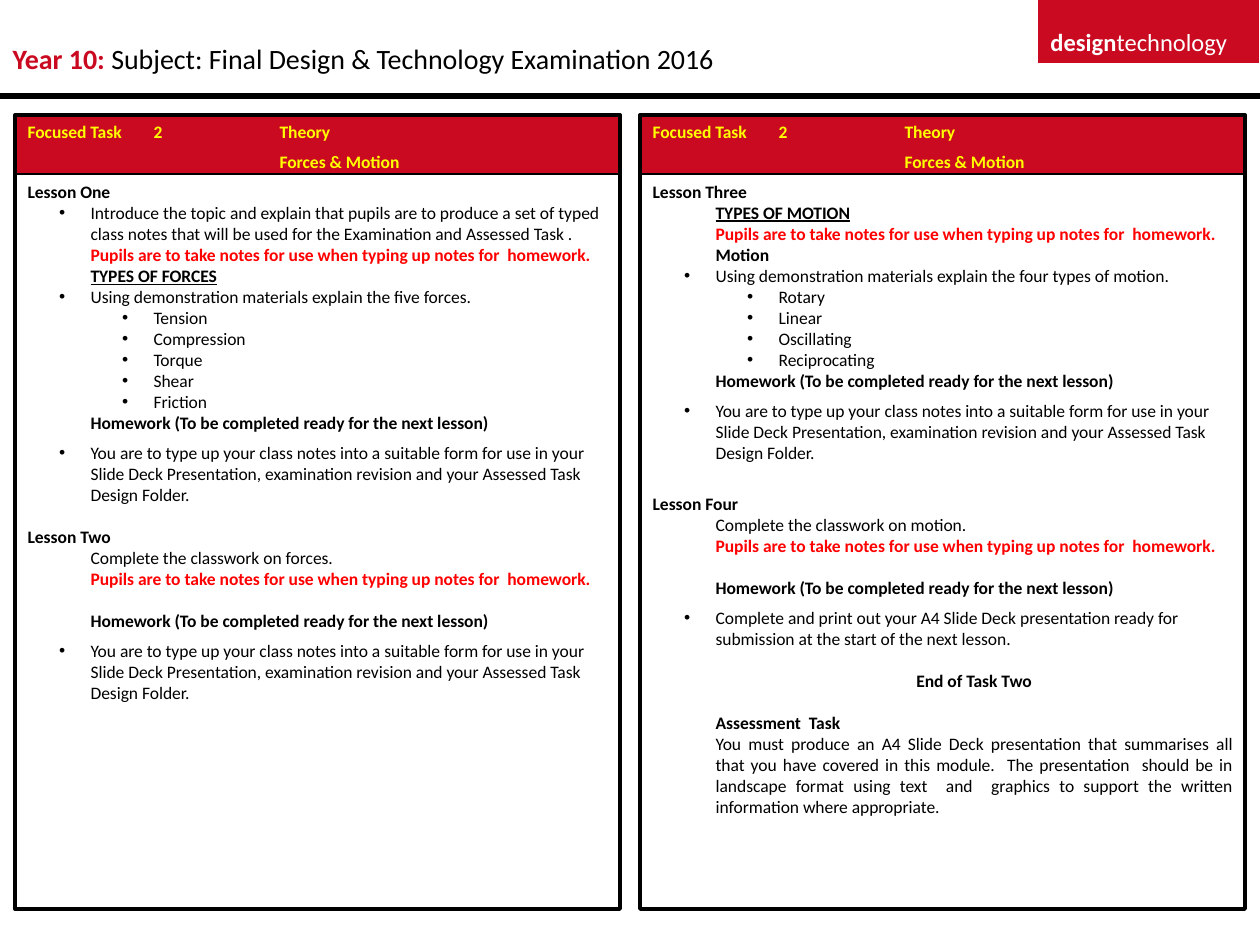
import pptx
import pptx.util
import pptx.dml.color
import pptx.enum.shapes
import pptx.enum.text
import pptx.oxml
import pptx.oxml.ns
import lxml.etree

# Content: (style, text, space before in points)
TITLE = [("Year 10:", "CA0A20", True),
         (" Subject: Final Design & Technology Examination 2016", "000000", False)]
BADGE = [("design", "FFFFFF", True), ("technology", "FFFFFF", False)]

NOTES = ("alert", "Pupils are to take notes for use when typing up notes for  homework.", 0)
HOMEWORK = "Homework (To be completed ready for the next lesson)"
TYPE_UP = ("bullet", "You are to type up your class notes into a suitable form for use in your "
           "Slide Deck Presentation, examination revision and your Assessed Task Design Folder.", 5)
HEADER = [("header", "Focused Task\t2\tTheory", 0), ("header", "\t\tForces & Motion", 5)]

FORCES = HEADER + [
    ("lesson", "Lesson One", 5),
    ("bullet", "Introduce the topic and explain that pupils are to produce a set of typed class notes "
     "that will be used for the Examination and Assessed Task .", 0),
    NOTES,
    ("topic", "TYPES OF FORCES", 0),
    ("bullet", "Using demonstration materials explain the five forces.", 0),
    *[("item", force, 0) for force in ("Tension", "Compression", "Torque", "Shear", "Friction")],
    ("strong", HOMEWORK, 0),
    TYPE_UP,
    ("lesson", "Lesson Two", 12),
    ("plain", "Complete the classwork on forces.", 0),
    NOTES,
    ("strong", HOMEWORK, 12),
    TYPE_UP,
]
MOTION = HEADER + [
    ("lesson", "Lesson Three", 5),
    ("topic", "TYPES OF MOTION", 0),
    NOTES,
    ("strong", "Motion", 0),
    ("bullet", "Using demonstration materials explain the four types of motion.", 0),
    *[("item", motion, 0) for motion in ("Rotary", "Linear", "Oscillating", "Reciprocating")],
    ("strong", HOMEWORK, 0),
    TYPE_UP,
    ("lesson", "Lesson Four", 17),
    ("plain", "Complete the classwork on motion.", 0),
    NOTES,
    ("strong", HOMEWORK, 12),
    ("bullet", "Complete and print out your A4 Slide Deck presentation ready for submission "
     "at the start of the next lesson.", 5),
    ("centred", "End of Task Two", 12),
    ("strong", "Assessment  Task", 12),
    ("justified", "You must produce an A4 Slide Deck presentation that summarises all that you have "
     "covered in this module.  The presentation  should be in landscape format using text  and  "
     "graphics to support the written information where appropriate.", 0),
]

# Style: colour, bold, underline, level, bulleted, alignment
ALIGN = pptx.enum.text.PP_ALIGN
STYLES = {
    "header": ("FFFF00", True, False, 0, False, ALIGN.LEFT),
    "lesson": ("000000", True, False, 0, False, ALIGN.LEFT),
    "topic": ("000000", True, True, 1, False, ALIGN.LEFT),
    "alert": ("FF0000", True, False, 1, False, ALIGN.LEFT),
    "strong": ("000000", True, False, 1, False, ALIGN.LEFT),
    "plain": ("000000", False, False, 1, False, ALIGN.LEFT),
    "bullet": ("000000", False, False, 1, True, ALIGN.LEFT),
    "item": ("000000", False, False, 2, True, ALIGN.LEFT),
    "centred": ("000000", True, False, 1, False, ALIGN.CENTER),
    "justified": ("000000", False, False, 1, False, ALIGN.JUSTIFY),
}

# Geometry in pixels
INCH = 126
SCALE = 914400 / INCH
PANEL_LEFT, PANEL_TOP, PANEL_WIDTH, PANEL_HEIGHT = 15, 115, 605, 794
PANEL_STEP, BAND_HEIGHT = 625, 59


def px(length):
    return pptx.util.Emu(round(length * SCALE))


def colour(value):
    return pptx.dml.color.RGBColor.from_string(value)


def place(shape, left, top, width, height):
    shape.left, shape.top, shape.width, shape.height = map(px, (left, top, width, height))


def format_run(run, size, value, bold, underline=False):
    font = run.font
    font.name, font.size = "Calibri", pptx.util.Pt(size)
    font.bold, font.underline = bold, underline
    font.color.rgb = colour(value)


def set_frame(frame, wrap):
    frame.word_wrap = wrap
    frame.auto_size = pptx.enum.text.MSO_AUTO_SIZE.NONE
    frame.vertical_anchor = pptx.enum.text.MSO_ANCHOR.TOP


def write_line(shape, runs, size, wrap):
    set_frame(shape.text_frame, wrap)
    paragraph = shape.text_frame.paragraphs[0]
    paragraph.alignment = ALIGN.LEFT
    for text, value, bold in runs:
        run = paragraph.add_run()
        run.text = text
        format_run(run, size, value, bold)


def add_block(left, top, width, height, line=None):
    block = slide.shapes.add_shape(pptx.enum.shapes.MSO_SHAPE.RECTANGLE,
                                   *map(px, (left, top, width, height)))
    block.shadow.inherit = False
    block.fill.solid()
    block.fill.fore_color.rgb = colour("CA0A20")
    if line:
        block.line.color.rgb = colour("000000")
        block.line.width = pptx.util.Pt(line)
    else:
        block.line.fill.background()
    return block


def add_child(parent, tag, **attributes):
    return lxml.etree.SubElement(parent, pptx.oxml.ns.qn(tag), attributes)


def write_panel(panel, content):
    frame = panel.text_frame
    set_frame(frame, True)
    frame.text = "\n".join(text for _, text, _ in content)
    for paragraph, (style, _, gap) in zip(frame.paragraphs, content):
        value, bold, underline, level, bulleted, alignment = STYLES[style]
        paragraph.level, paragraph.alignment = level, alignment
        paragraph.space_before = pptx.util.Pt(gap)
        props = paragraph._p.get_or_add_pPr()
        props.set("marL", str(px(level * INCH / 2)))
        props.set("indent", str(px(-INCH / 4 if bulleted else 0)))
        props.set("defTabSz", str(px(INCH)))
        if bulleted:
            add_child(props, "a:buFont", typeface="Arial")
            add_child(props, "a:buChar", char="•")
        else:
            add_child(props, "a:buNone")
        for run in paragraph.runs:
            format_run(run, 10, value, bold, underline)


# Slide
deck = pptx.Presentation()
deck.slide_width, deck.slide_height = px(10 * INCH), px(7.5 * INCH)
slide = deck.slides.add_slide(deck.slide_layouts[3])
title, *panels = slide.placeholders

# Title and subject badge
place(title, 0, 35, 1027, 47)
write_line(title, TITLE, 16, True)
add_block(1038, 0, 221, 63)
badge = slide.shapes.add_textbox(*map(px, (1038, 21, 222, 42)))
write_line(badge, BADGE, 14, False)

# Rule under the title
rule = slide.shapes.add_connector(pptx.enum.shapes.MSO_CONNECTOR.STRAIGHT,
                                  *map(px, (0, 96, 1260, 96)))
rule.line.color.rgb = colour("000000")
rule.line.width = pptx.util.Pt(3)
add_child(rule._element.spPr, "a:effectLst")

# Lesson panels, each with its red band behind the text
for column, (panel, content) in enumerate(zip(panels, (FORCES, MOTION))):
    left = PANEL_LEFT + column * PANEL_STEP
    band = add_block(left, PANEL_TOP, PANEL_WIDTH, BAND_HEIGHT, 0.75)
    slide.shapes._spTree.insert(2, band._element)
    place(panel, left, PANEL_TOP, PANEL_WIDTH, PANEL_HEIGHT)
    panel.line.color.rgb = colour("000000")
    panel.line.width = pptx.util.Pt(2.25)
    write_panel(panel, content)

deck.save("out.pptx")
